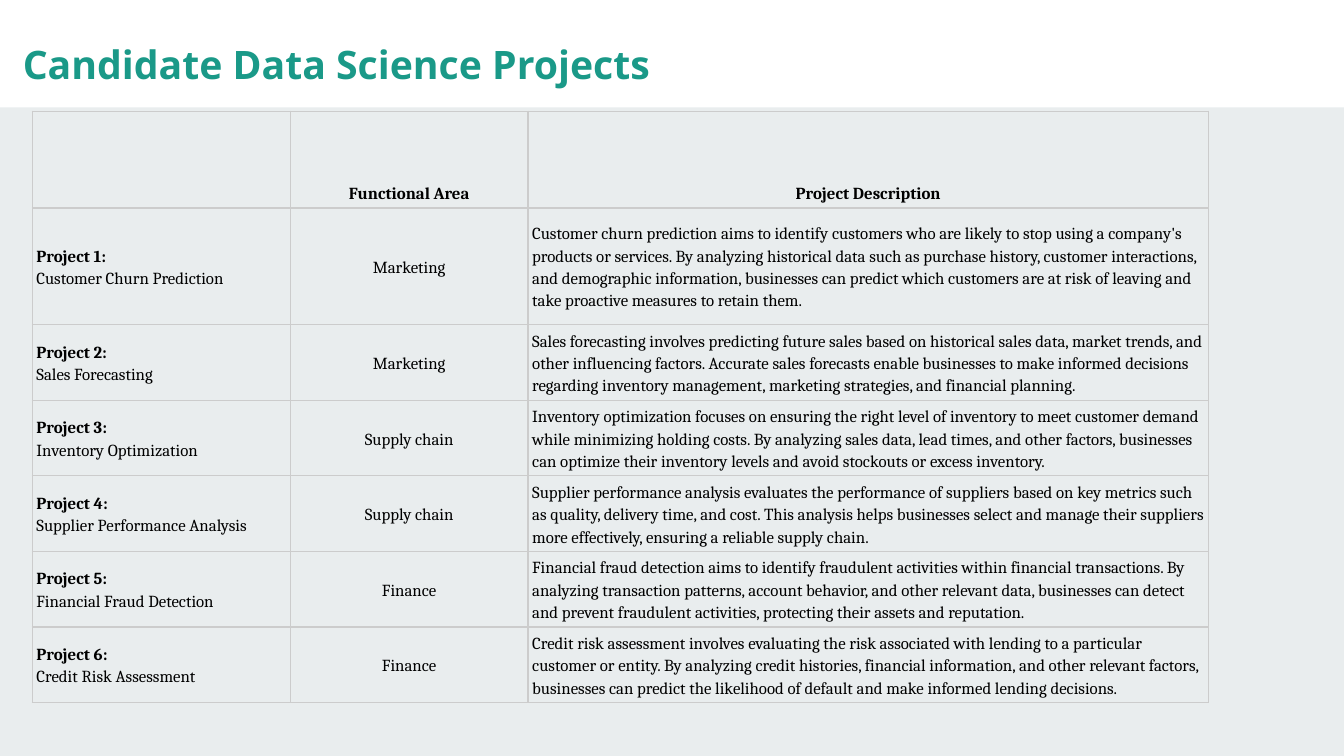
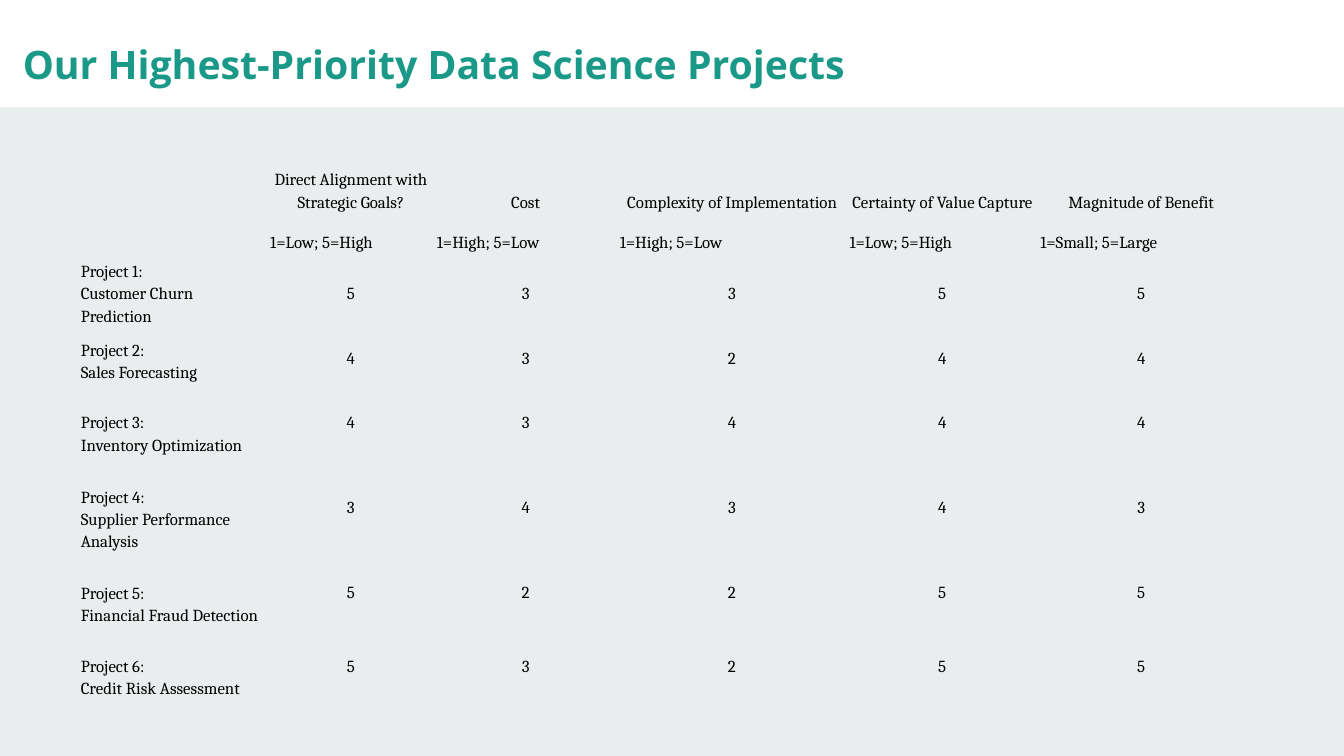
from dataclasses import dataclass
from lxml.etree import SubElement
from pptx import Presentation
from pptx.dml.color import RGBColor as RGB
from pptx.enum.shapes import MSO_SHAPE as SHAPE
from pptx.enum.text import MSO_ANCHOR as ANCHOR, MSO_AUTO_SIZE as AUTOSIZE, PP_ALIGN as ALIGN
from pptx.oxml.ns import qn
from pptx.util import Pt


@dataclass(frozen=True)
class Theme:
    background: str = "E9EDEE"
    band: str = "FFFFFF"
    title: str = "1A9988"
    text: str = "000000"
    border: str = "CCCCCC"
    title_font: str = "Open Sans"
    body_font: str = "Cambria"
    title_size: float = 21
    body_size: float = 9
    spacing: float = 1.15


T = Theme()
NO_STYLE = "{2D5ABB26-0587-4C30-8999-92F81FD0307C}"

# Content: name, functional area, description, scores
PROJECTS = [
    ("Customer Churn Prediction", "Marketing",
     "Customer churn prediction aims to identify customers who are likely to stop using a "
     "company's products or services. By analyzing historical data such as purchase history, "
     "customer interactions, and demographic information, businesses can predict which customers "
     "are at risk of leaving and take proactive measures to retain them.", (5, 3, 3, 5, 5)),
    ("Sales Forecasting", "Marketing",
     "Sales forecasting involves predicting future sales based on historical sales data, market "
     "trends, and other influencing factors. Accurate sales forecasts enable businesses to make "
     "informed decisions regarding inventory management, marketing strategies, and financial "
     "planning.", (4, 3, 2, 4, 4)),
    ("Inventory Optimization", "Supply chain",
     "Inventory optimization focuses on ensuring the right level of inventory to meet customer "
     "demand while minimizing holding costs. By analyzing sales data, lead times, and other "
     "factors, businesses can optimize their inventory levels and avoid stockouts or excess "
     "inventory.", (4, 3, 4, 4, 4)),
    ("Supplier Performance Analysis", "Supply chain",
     "Supplier performance analysis evaluates the performance of suppliers based on key metrics "
     "such as quality, delivery time, and cost. This analysis helps businesses select and manage "
     "their suppliers more effectively, ensuring a reliable supply chain.", (3, 4, 3, 4, 3)),
    ("Financial Fraud Detection", "Finance",
     "Financial fraud detection aims to identify fraudulent activities within financial "
     "transactions. By analyzing transaction patterns, account behavior, and other relevant data, "
     "businesses can detect and prevent fraudulent activities, protecting their assets and "
     "reputation.", (5, 2, 2, 5, 5)),
    ("Credit Risk Assessment", "Finance",
     "Credit risk assessment involves evaluating the risk associated with lending to a particular "
     "customer or entity. By analyzing credit histories, financial information, and other relevant "
     "factors, businesses can predict the likelihood of default and make informed lending "
     "decisions.", (5, 3, 2, 5, 5)),
]
CRITERIA = [
    ("Direct Alignment with Strategic Goals?", "1=Low; 5=High"),
    ("Cost", "1=High; 5=Low"),
    ("Complexity of Implementation", "1=High; 5=Low"),
    ("Certainty of Value Capture", "1=Low; 5=High"),
    ("Magnitude of Benefit", "1=Small; 5=Large"),
]
CANDIDATES = dict(left=17.3, top=59.6, height=340, inset=2.25, border=True,
                  cols=[138.2, 127.4, 364.4], rows=[51.8, 62.6] + [27.4] * 5)
PRIORITIES = dict(left=41.8, top=63.4, height=314, inset=1.5, border=False,
                  cols=[101.5, 89.3, 98, 123.1, 102.2, 111],
                  rows=[51.8, 21.6, 39.6, 30.2, 38.9, 51.8, 39.6, 38.9])


def write(tf, *lines, size=T.body_size, font=T.body_font, color=T.text,
          bold=(), align=ALIGN.LEFT):
    """Write one paragraph per line; bold holds the indexes of bold lines."""
    for i, line in enumerate(lines):
        p = tf.paragraphs[0] if i == 0 else tf.add_paragraph()
        p.alignment, p.line_spacing = align, T.spacing
        if not line:
            SubElement(p._p, qn("a:endParaRPr"), sz=str(int(size * 100)))
            continue
        r = p.add_run()
        r.text = line
        r.font.size, r.font.name, r.font.bold = Pt(size), font, i in bold
        r.font.color.rgb = RGB.from_string(color)


def set_margins(box, inset):
    box.margin_left = box.margin_right = box.margin_top = box.margin_bottom = Pt(inset)


def add_borders(cell):
    tcPr = cell._tc.get_or_add_tcPr()
    for side in ("lnL", "lnR", "lnT", "lnB"):
        ln = SubElement(tcPr, qn(f"a:{side}"), w=str(Pt(0.75)))
        SubElement(SubElement(ln, qn("a:solidFill")), qn("a:srgbClr"), val=T.border)


def add_grid(s, left, top, height, inset, border, cols, rows):
    """Add an unstyled table with the given column widths and row heights."""
    frame = s.shapes.add_table(len(rows), len(cols), Pt(left), Pt(top), Pt(sum(cols)), Pt(height))
    table = frame.table
    table.first_row = table.horz_banding = False
    table._tbl.tblPr.find(qn("a:tableStyleId")).text = NO_STYLE
    for col, width in zip(table.columns, cols):
        col.width = Pt(width)
    for row, row_height in zip(table.rows, rows):
        row.height = Pt(row_height)
    frame.height = Pt(height)
    for cell in table.iter_cells():
        set_margins(cell, inset)
        if border:
            add_borders(cell)
        cell.fill.background()
    return table


def fill_cell(cell, *lines, anchor=ANCHOR.MIDDLE, **fmt):
    cell.vertical_anchor = anchor
    write(cell.text_frame, *lines, **fmt)


def add_band(s, layout):
    """Draw the white title band and move it to the shared layout."""
    band = s.shapes.add_shape(SHAPE.RECTANGLE, 0, 0, Pt(720), Pt(57.6))
    band.shadow.inherit = False
    band.fill.solid()
    band.fill.fore_color.rgb = RGB.from_string(T.band)
    band.line.fill.background()
    layout.shapes._spTree.insert(2, band._element)


def add_titled_slide(prs, layout, title):
    s = prs.slides.add_slide(layout)
    sp = s.shapes.title
    sp.left, sp.top, sp.width, sp.height = Pt(5), Pt(10.8), Pt(607.7), Pt(26.6)
    tf = sp.text_frame
    tf.word_wrap, tf.auto_size, tf.vertical_anchor = True, AUTOSIZE.NONE, ANCHOR.TOP
    set_margins(tf, 7.2)
    write(tf, title, size=T.title_size, font=T.title_font, color=T.title, bold=(0,))
    return s


def build_candidates(s):
    table = add_grid(s, **CANDIDATES)
    for c, head in enumerate(("", "Functional Area", "Project Description")):
        fill_cell(table.cell(0, c), head, anchor=ANCHOR.BOTTOM, align=ALIGN.CENTER, bold=(0,))
    for i, (name, area, description, _) in enumerate(PROJECTS, 1):
        fill_cell(table.cell(i, 0), f"Project {i}:", name, bold=(0,))
        fill_cell(table.cell(i, 1), area, align=ALIGN.CENTER)
        fill_cell(table.cell(i, 2), description)


def build_priorities(s):
    table = add_grid(s, **PRIORITIES)
    for c, (criterion, scale) in enumerate([("", "")] + CRITERIA):
        fill_cell(table.cell(0, c), criterion, anchor=ANCHOR.BOTTOM, align=ALIGN.CENTER)
        fill_cell(table.cell(1, c), scale, anchor=ANCHOR.BOTTOM)
    for i, (name, _, _, scores) in enumerate(PROJECTS, 1):
        fill_cell(table.cell(i + 1, 0), f"Project {i}:", name, anchor=ANCHOR.BOTTOM)
        for c, score in enumerate(scores, 1):
            fill_cell(table.cell(i + 1, c), str(score), align=ALIGN.CENTER)


def main():
    prs = Presentation()
    prs.slide_width, prs.slide_height = Pt(720), Pt(405)

    # Shared background and title band
    fill = prs.slide_master.background.fill
    fill.solid()
    fill.fore_color.rgb = RGB.from_string(T.background)
    layout = prs.slide_layouts.get_by_name("Title Only")

    # Slides
    s = add_titled_slide(prs, layout, "Candidate Data Science Projects")
    add_band(s, layout)
    build_candidates(s)
    s = add_titled_slide(prs, layout, "Our Highest-Priority Data Science Projects")
    build_priorities(s)

    prs.save("out.pptx")


if __name__ == "__main__":
    main()
